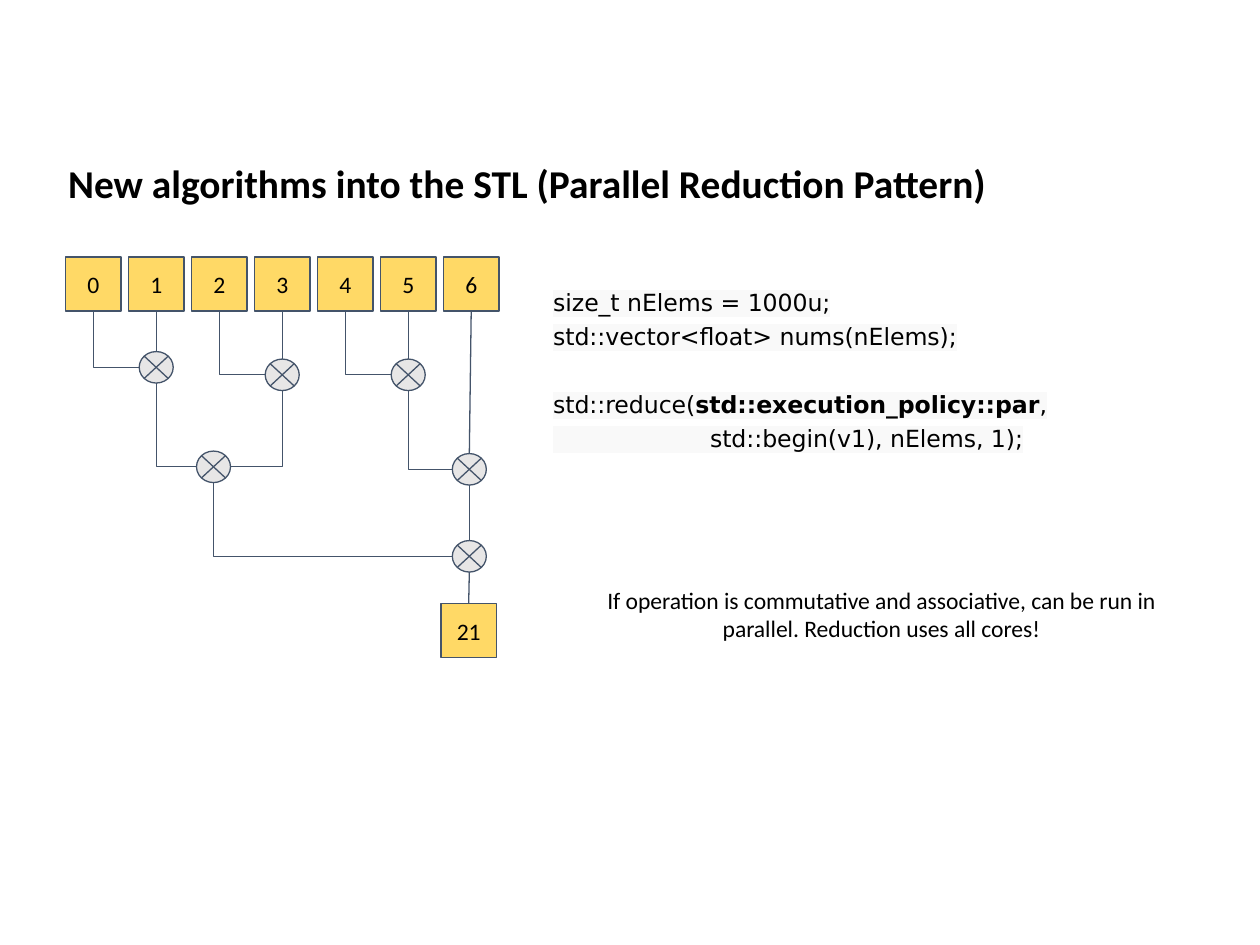
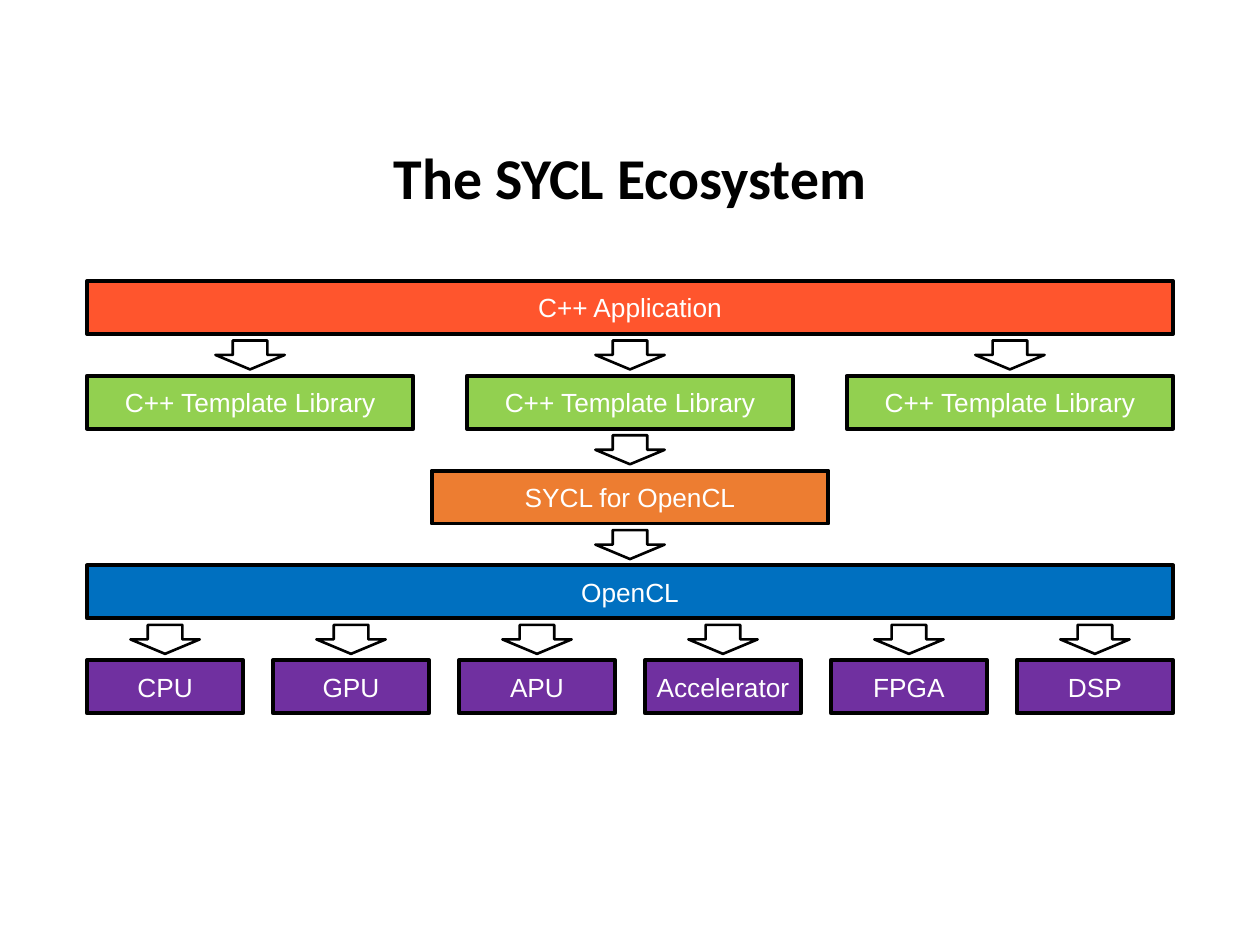
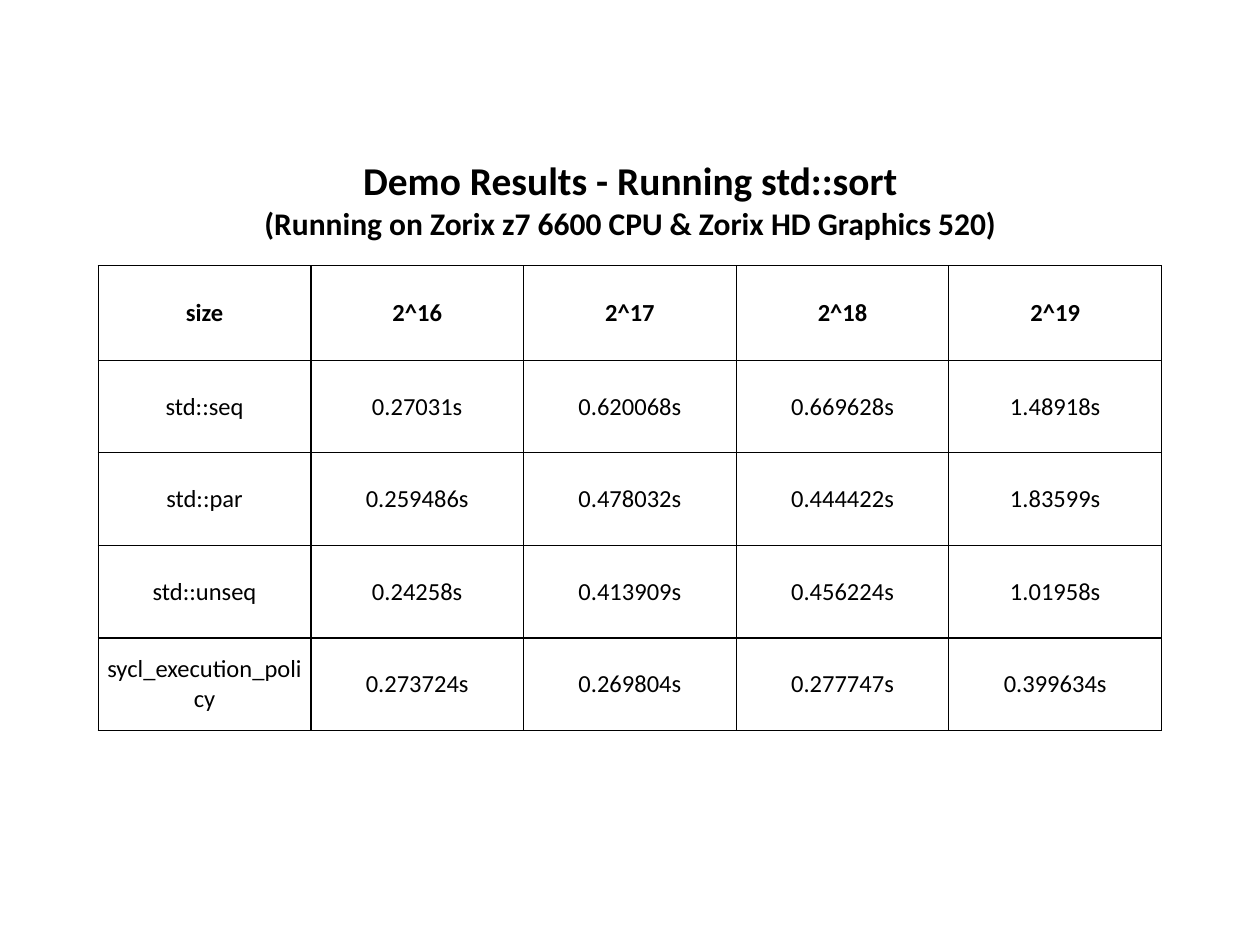
from dataclasses import dataclass

from lxml import etree
from pptx import Presentation
from pptx import util as u
from pptx.dml.color import RGBColor
from pptx.enum import shapes, text
from pptx.oxml.ns import qn

COLUMNS, ROWS = 100, 75
CELL = u.Inches(0.1)


@dataclass(frozen=True)
class Theme:
    black: str = "000000"
    white: str = "FFFFFF"
    slate: str = "44546A"
    gold: str = "FFD966"
    gray: str = "E7E6E6"
    code_back: str = "F9F9F9"
    red: str = "FF552D"
    green: str = "92D050"
    orange: str = "ED7D31"
    blue: str = "0070C0"
    purple: str = "7030A0"
    body_font: str = "Calibri"
    code_font: str = "DejaVu Sans"
    layer_font: str = "Arial"
    large_title: float = 33
    title: float = 22.5
    subtitle: float = 18
    layer: float = 15
    cell: float = 14
    body: float = 13.5
    thin: float = 0.75
    medium: float = 1.5
    thick: float = 2.25
    inset: float = 0.7


THEME = Theme()


@dataclass(frozen=True)
class Box:
    left: float
    top: float
    width: float
    height: float

    def inner(self, left, top, width, height):
        return Box(self.left + left, self.top + top, width, height)

    @property
    def center(self):
        return self.left + self.width / 2

    @property
    def middle(self):
        return self.top + self.height / 2

    @property
    def right(self):
        return self.left + self.width

    @property
    def bottom(self):
        return self.top + self.height

    def emu(self):
        return [cells(n) for n in (self.left, self.top, self.width, self.height)]


def cells(count):
    return u.Emu(round(count * CELL))


def add_run(paragraph, words, size, font=THEME.body_font, color=THEME.black, bold=False):
    run = paragraph.add_run()
    run.text = words
    run.font.size = u.Pt(size)
    run.font.bold = bold
    run.font.color.rgb = RGBColor.from_string(color)
    run.font.name = font
    return run


def set_insets(owner, horizontal=THEME.inset, vertical=THEME.inset):
    owner.margin_left = owner.margin_right = cells(horizontal)
    owner.margin_top = owner.margin_bottom = cells(vertical)


def add_title(slide, box, lines, align=text.PP_ALIGN.CENTER,
              anchor=text.MSO_ANCHOR.TOP, vertical=THEME.inset, spacing=1.0):
    title = slide.shapes.title
    title.left, title.top, title.width, title.height = box.emu()
    frame = title.text_frame
    frame.auto_size = text.MSO_AUTO_SIZE.NONE
    frame.word_wrap = True
    frame.vertical_anchor = anchor
    set_insets(frame, vertical=vertical)
    for index, (words, size) in enumerate(lines):
        paragraph = frame.add_paragraph() if index else frame.paragraphs[0]
        paragraph.alignment = align
        paragraph.line_spacing = spacing
        paragraph.space_before = u.Pt(0)
        add_run(paragraph, words, size, bold=True)


def add_text_frame(slide, box):
    frame = slide.shapes.add_textbox(*box.emu()).text_frame
    frame.word_wrap = True
    set_insets(frame)
    return frame


def add_block(slide, kind, box, fill, line, weight):
    shape = slide.shapes.add_shape(kind, *box.emu())
    shape.shadow.inherit = False
    shape.fill.solid()
    shape.fill.fore_color.rgb = RGBColor.from_string(fill)
    shape.line.color.rgb = RGBColor.from_string(line)
    shape.line.width = u.Pt(weight)
    return shape


def add_label(shape, words, size, font, color, vertical):
    frame = shape.text_frame
    frame.word_wrap = True
    frame.vertical_anchor = text.MSO_ANCHOR.MIDDLE
    set_insets(frame, vertical=vertical)
    paragraph = frame.paragraphs[0]
    paragraph.alignment = text.PP_ALIGN.CENTER
    add_run(paragraph, words, size, font, color)


def add_link(slide, kind, start, end):
    connector = slide.shapes.add_connector(kind, *map(cells, start + end))
    connector.line.color.rgb = RGBColor.from_string(THEME.slate)
    connector.line.width = u.Pt(THEME.thin)
    etree.SubElement(connector._element.spPr, qn("a:effectLst"))
    return connector


def add_corner_link(slide, source, junction):
    side = junction.left if source.center < junction.center else junction.right
    connector = add_link(slide, shapes.MSO_CONNECTOR.ELBOW,
                         (side, junction.middle), (source.center, source.bottom))
    connector._element.spPr.find(qn("a:prstGeom")).set("prst", "bentConnector2")


def draw_reduction_tree(slide, area):
    boxes, squares = {}, {}

    def add_number(name, left, top):
        boxes[name] = area.inner(left, top, 4.4, 4.3)
        squares[name] = add_block(slide, shapes.MSO_SHAPE.RECTANGLE, boxes[name],
                                  THEME.gold, THEME.slate, THEME.thin)
        add_label(squares[name], name, THEME.body, THEME.body_font, THEME.black, THEME.inset)

    def add_straight_link(source, target):
        start, end = boxes[source], boxes[target]
        connector = add_link(slide, shapes.MSO_CONNECTOR.STRAIGHT,
                             (start.center, start.bottom), (end.center, end.top))
        if source in squares:
            connector.begin_connect(squares[source], 2)
        if target in squares:
            connector.end_connect(squares[target], 0)

    for index in range(7):
        add_number(str(index), index * 5, 0)
    add_number("21", 29.8, 27.5)

    junctions = [
        ("0-1", 5.85, 7.5, ["0"], ["1"]),
        ("2-3", 15.85, 8.1, ["2"], ["3"]),
        ("4-5", 25.85, 8.1, ["4"], ["5"]),
        ("0-3", 10.4, 15.4, ["0-1", "2-3"], []),
        ("4-6", 30.7, 15.6, ["4-5"], ["6"]),
        ("0-6", 30.7, 22.5, ["0-3"], ["4-6"]),
    ]
    for name, left, top, corner_sources, straight_sources in junctions:
        boxes[name] = area.inner(left, top, 2.7, 2.5)
        add_block(slide, shapes.MSO_SHAPE.FLOWCHART_SUMMING_JUNCTION, boxes[name],
                  THEME.gray, THEME.slate, THEME.thin)
        for source in corner_sources:
            add_corner_link(slide, boxes[source], boxes[name])
        for source in straight_sources:
            add_straight_link(source, name)
    add_straight_link("0-6", "21")


def write_code(slide, box):
    lines = [
        [("size_t nElems = 1000u;", False)],
        [("std::vector<float> nums(nElems);", False)],
        [("std::reduce(", False), ("std::execution_policy::par", True), (",", False)],
        [("                     std::begin(v1), nElems, 1);", False)],
    ]
    call_line = 2
    frame = add_text_frame(slide, box)
    for index, runs in enumerate(lines):
        paragraph = frame.add_paragraph() if index else frame.paragraphs[0]
        paragraph.line_spacing = 1.2
        if index == call_line:
            paragraph.space_before = u.Pt(19.4)
        for words, bold in runs:
            run = add_run(paragraph, words, THEME.body, THEME.code_font, bold=bold)
            highlight = etree.Element(qn("a:highlight"))
            etree.SubElement(highlight, qn("a:srgbClr"), val=THEME.code_back)
            run._r.rPr.find(qn("a:solidFill")).addnext(highlight)


def write_remark(slide, box):
    paragraph = add_text_frame(slide, box).paragraphs[0]
    paragraph.alignment = text.PP_ALIGN.CENTER
    add_run(paragraph, "If operation is commutative and associative, can be run in "
            "parallel. Reduction uses all cores!", THEME.body)


def draw_layers(slide, area):
    layers = [
        (["C++ Application"], area.width, THEME.red),
        (["C++ Template Library"] * 3, 25.9, THEME.green),
        (["SYCL for OpenCL"], 31.5, THEME.orange),
        (["OpenCL"], area.width, THEME.blue),
        (["CPU", "GPU", "APU", "Accelerator", "FPGA", "DSP"], 12.4, THEME.purple),
    ]
    height = 4.2
    pitch = (area.height - height) / (len(layers) - 1)
    for row, (labels, width, fill) in enumerate(layers):
        spare = area.width - width
        for index, label in enumerate(labels):
            left = spare * index / (len(labels) - 1) if len(labels) > 1 else spare / 2
            box = area.inner(left, row * pitch, width, height)
            block = add_block(slide, shapes.MSO_SHAPE.RECTANGLE, box,
                              fill, THEME.black, THEME.thick)
            add_label(block, label, THEME.layer, THEME.layer_font, THEME.white, 0.4)
            if row:
                arrow = box.inner((width - 5.5) / 2, -2.8, 5.5, 2.3)
                add_block(slide, shapes.MSO_SHAPE.DOWN_ARROW, arrow,
                          THEME.white, THEME.black, THEME.medium)


def add_borders(cell):
    properties = cell._tc.get_or_add_tcPr()
    for index, edge in enumerate(("a:lnL", "a:lnR", "a:lnT", "a:lnB")):
        border = etree.Element(qn(edge), w=str(u.Pt(THEME.thin)))
        fill = etree.SubElement(border, qn("a:solidFill"))
        etree.SubElement(fill, qn("a:srgbClr"), val=THEME.black)
        properties.insert(index, border)


def add_timings(slide, area):
    timings = [
        ["size", "2^16", "2^17", "2^18", "2^19"],
        ["std::seq", "0.27031s", "0.620068s", "0.669628s", "1.48918s"],
        ["std::par", "0.259486s", "0.478032s", "0.444422s", "1.83599s"],
        ["std::unseq", "0.24258s", "0.413909s", "0.456224s", "1.01958s"],
        ["sycl_execution_policy", "0.273724s", "0.269804s", "0.277747s", "0.399634s"],
    ]
    header_height = 7.5
    row_height = (area.height - header_height) / (len(timings) - 1)
    table = slide.shapes.add_table(len(timings), len(timings[0]), *area.emu()).table
    table.first_row = table.horz_banding = False
    for column in table.columns:
        column.width = cells(area.width / len(timings[0]))
    for row, values in enumerate(timings):
        table.rows[row].height = cells(row_height if row else header_height)
        for column, value in enumerate(values):
            cell = table.cell(row, column)
            cell.fill.background()
            cell.vertical_anchor = text.MSO_ANCHOR.MIDDLE
            set_insets(cell)
            paragraph = cell.text_frame.paragraphs[0]
            paragraph.alignment = text.PP_ALIGN.CENTER
            add_run(paragraph, value, THEME.cell, bold=row == 0)
            add_borders(cell)


def build_reduction_slide(slide, page):
    add_title(slide, page.inner(4.7, 11.9, 90.2, 4.9),
              [("New algorithms into the STL (Parallel Reduction Pattern)", THEME.title)],
              align=text.PP_ALIGN.LEFT)
    draw_reduction_tree(slide, page.inner(5.2, 20.4, 34.4, 31.8))
    write_code(slide, page.inner(43.2, 21.7, 53.8, 16.2))
    write_remark(slide, page.inner(46.4, 45.8, 47.1, 5.5))


def build_ecosystem_slide(slide, page):
    add_title(slide, page.inner(6.9, 9.4, 86.2, 9.9),
              [("The SYCL Ecosystem", THEME.large_title)],
              anchor=text.MSO_ANCHOR.MIDDLE, vertical=2.1, spacing=0.9)
    draw_layers(slide, page.inner(6.9, 22.3, 86.2, 34.3))


def build_results_slide(slide, page):
    add_title(slide, page.inner(13.3, 11.7, 73.5, 8.6),
              [("Demo Results - Running std::sort", THEME.title),
               ("(Running on Zorix z7 6600 CPU & Zorix HD Graphics 520)", THEME.subtitle)])
    add_timings(slide, page.inner(7.8, 21.1, 84.4, 36.9))


def main():
    presentation = Presentation()
    presentation.slide_width = cells(COLUMNS)
    presentation.slide_height = cells(ROWS)
    title_only = presentation.slide_layouts[5]
    page = Box(0, 0, COLUMNS, ROWS)
    for build in (build_reduction_slide, build_ecosystem_slide, build_results_slide):
        build(presentation.slides.add_slide(title_only), page)
    presentation.save("out.pptx")


if __name__ == "__main__":
    main()
